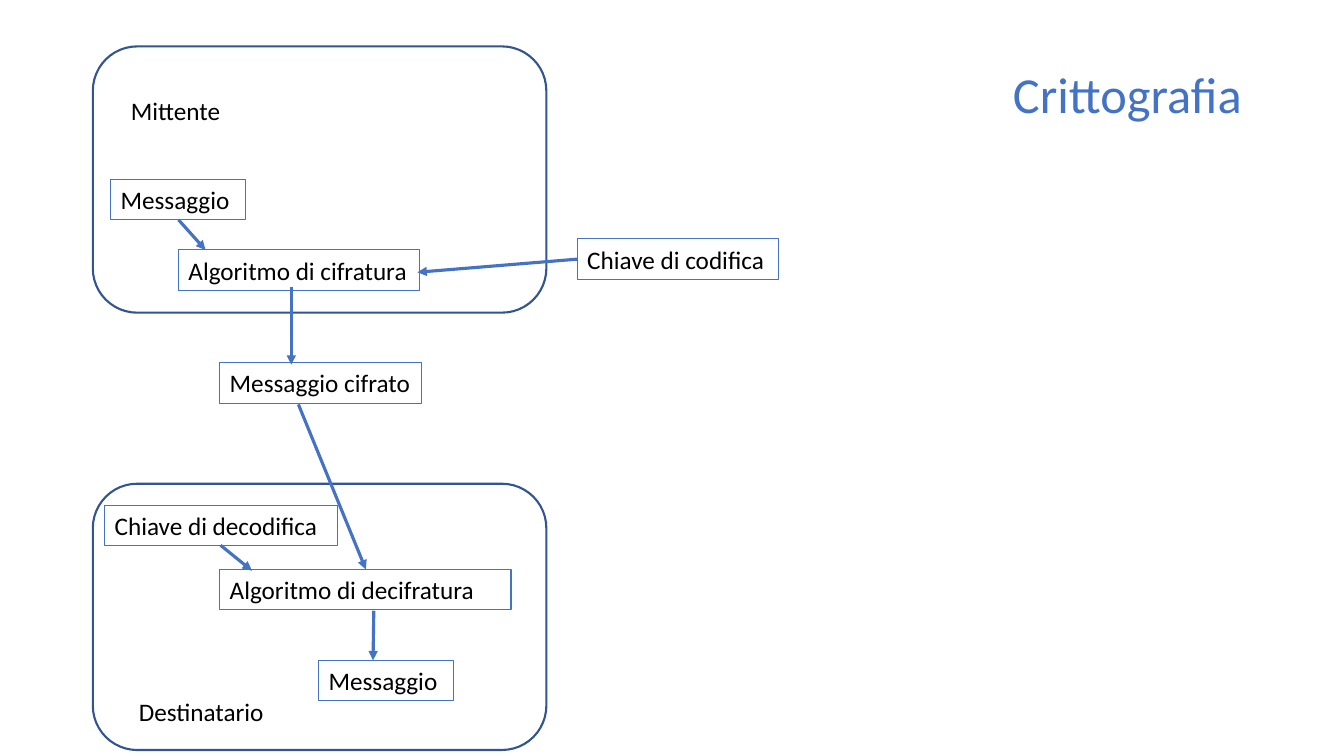
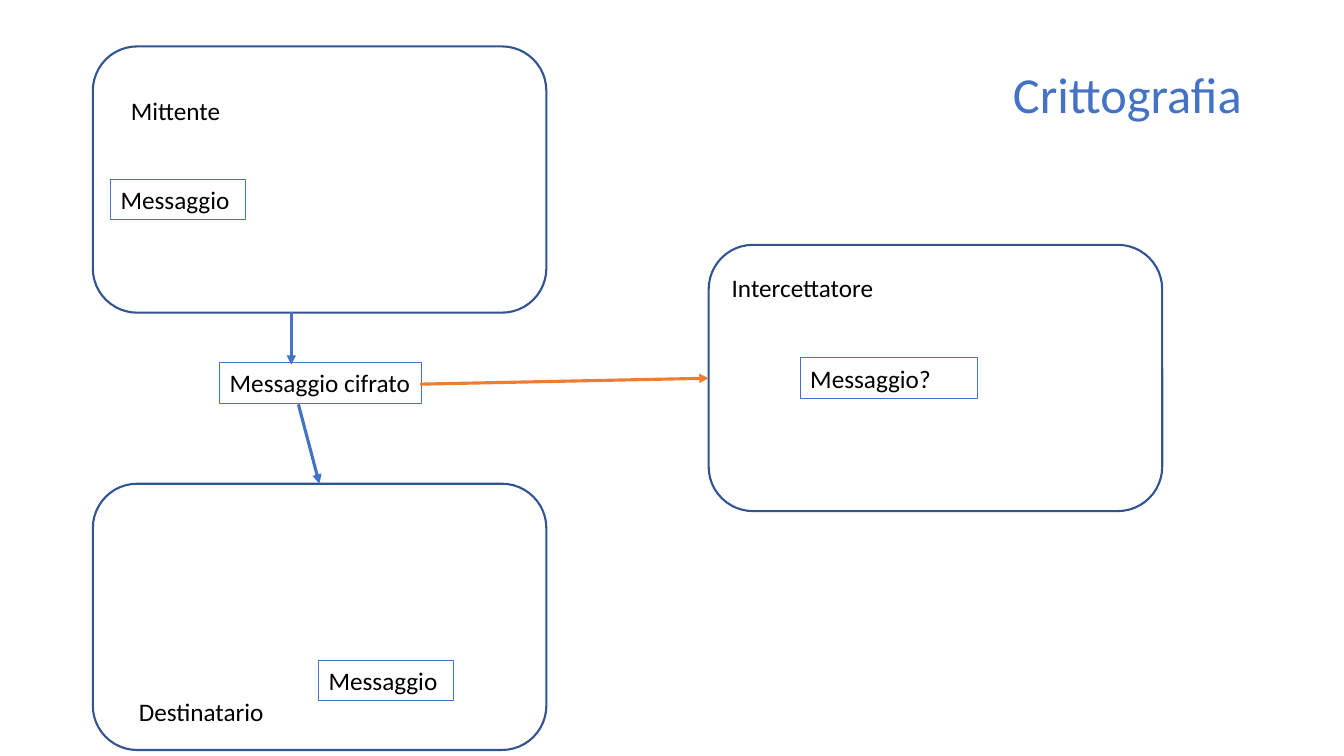
"""Builds two slides on cryptography: the cipher scheme and its interception."""
from lxml.etree import SubElement
from pptx import Presentation
from pptx.dml.color import RGBColor
from pptx.enum.shapes import MSO_CONNECTOR as Connector, MSO_SHAPE as Shape
from pptx.enum.text import MSO_ANCHOR as Anchor, MSO_AUTO_SIZE as AutoSize, PP_ALIGN as Align
from pptx.oxml.ns import qn
from pptx.util import Cm, Pt

BLUE = RGBColor(0x44, 0x72, 0xC4)
NAVY = RGBColor(0x32, 0x54, 0x91)
ORANGE = RGBColor(0xED, 0x7D, 0x31)
BLACK = RGBColor(0, 0, 0)
FONT = "Calibri"
PANEL_WIDTH, PANEL_HEIGHT = 11.43, 6.71
LABEL_WIDTH, LABEL_HEIGHT = 4.27, 1.02


def write(frame, text, size=18, color=BLACK, align=Align.LEFT, spacing=1.0):
    frame.word_wrap = True
    para = frame.paragraphs[0]
    para.alignment = align
    para.line_spacing = spacing
    span = para.add_run()
    span.text = text
    span.font.name = FONT
    span.font.size = Pt(size)
    span.font.color.rgb = color


shared_panels = [(2.34, 1.17), (2.34, 12.19)]
shared_labels = [("Mittente", 3.05, 2.29), ("Destinatario", 3.25, 17.42)]
shared_boxes = [
    ("Messaggio", 2.79, 4.52, 3.4),
    ("Messaggio cifrato", 5.54, 9.14, 5.08),
    ("Messaggio", 8.03, 16.64, 3.4),
]
scheme = {
    "panels": [],
    "labels": [],
    "boxes": [
        ("Chiave di codifica", 14.55, 6.02, 5.08),
        ("Algoritmo di cifratura", 4.5, 6.3, 6.07),
        ("Chiave di decodifica", 2.64, 12.73, 5.87),
        ("Algoritmo di decifratura", 5.54, 14.35, 7.34),
    ],
    "arrows": [
        (4.5, 5.54, 5.18, 6.3, BLUE),
        (14.55, 6.53, 10.52, 6.86, BLUE),
        (7.34, 7.24, 7.34, 9.19, BLUE),
        (7.52, 10.19, 9.22, 14.35, BLUE),
        (5.56, 13.74, 6.35, 14.38, BLUE),
        (9.42, 15.39, 9.4, 16.64, BLUE),
    ],
}
interception = {
    "panels": [(17.86, 6.17)],
    "labels": [("Intercettatore", 18.19, 6.73)],
    "boxes": [("Messaggio?", 20.17, 9.02, 4.47)],
    "arrows": [
        (7.34, 7.87, 7.34, 9.19, BLUE),
        (7.52, 10.19, 8.05, 12.19, BLUE),
        (10.59, 9.68, 17.86, 9.53, ORANGE),
    ],
}

deck = Presentation()
deck.slide_width, deck.slide_height = Cm(33.87), Cm(19.05)
title_only = deck.slide_layouts[5]

for content in (scheme, interception):
    page = deck.slides.add_slide(title_only)
    title = page.shapes.title
    title.left, title.top = Cm(2.34), Cm(1.02)
    title.width, title.height = Cm(29.21), Cm(2.84)
    title.text_frame.vertical_anchor = Anchor.MIDDLE
    write(title.text_frame, "Crittografia", size=36, color=BLUE, align=Align.RIGHT, spacing=0.9)

    for left, top in shared_panels + content["panels"]:
        panel = page.shapes.add_shape(
            Shape.ROUNDED_RECTANGLE, Cm(left), Cm(top), Cm(PANEL_WIDTH), Cm(PANEL_HEIGHT))
        panel.shadow.inherit = False
        panel.fill.background()
        panel.line.color.rgb = NAVY
        panel.line.width = Pt(1.5)

    for text, left, top in shared_labels + content["labels"]:
        label = page.shapes.add_textbox(Cm(left), Cm(top), Cm(LABEL_WIDTH), Cm(LABEL_HEIGHT))
        label.text_frame.auto_size = AutoSize.SHAPE_TO_FIT_TEXT
        write(label.text_frame, text)

    for text, left, top, width in shared_boxes + content["boxes"]:
        box = page.shapes.add_textbox(Cm(left), Cm(top), Cm(width), Cm(LABEL_HEIGHT))
        box.text_frame.auto_size = AutoSize.SHAPE_TO_FIT_TEXT
        box.line.color.rgb = BLUE
        box.line.width = Pt(0.75)
        write(box.text_frame, text)

    for start_x, start_y, end_x, end_y, color in content["arrows"]:
        arrow = page.shapes.add_connector(
            Connector.STRAIGHT, Cm(start_x), Cm(start_y), Cm(end_x), Cm(end_y))
        arrow.line.color.rgb = color
        arrow.line.width = Pt(2.25)
        properties = arrow.element.spPr
        SubElement(properties.find(qn("a:ln")), qn("a:tailEnd"), type="triangle")
        SubElement(properties, qn("a:effectLst"))

deck.save("out.pptx")
